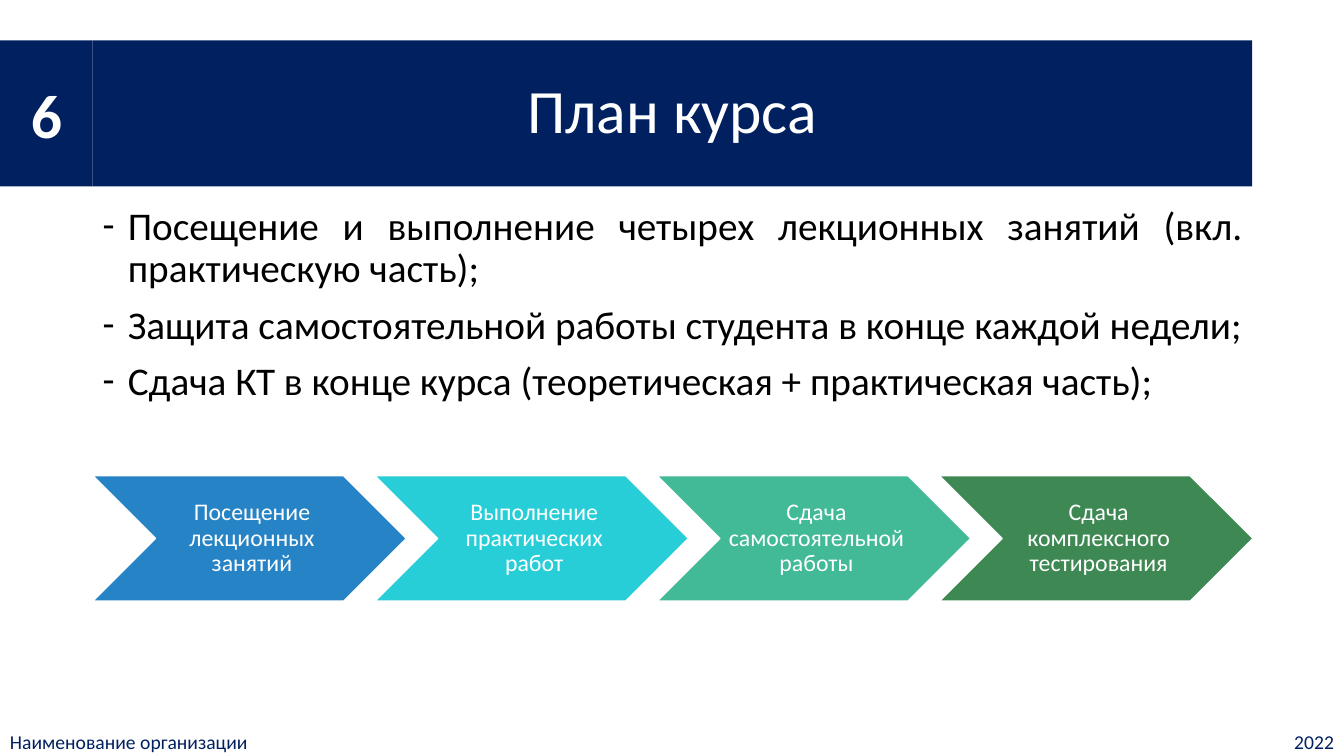
from lxml import etree
from pptx import Presentation
from pptx.dml.color import RGBColor
from pptx.enum import shapes, text
from pptx.oxml import ns
from pptx.util import Inches, Pt

NAVY = RGBColor(0x00, 0x20, 0x60)
WHITE = RGBColor(0xFF, 0xFF, 0xFF)
BLACK = RGBColor(0x00, 0x00, 0x00)
BLUE = RGBColor(0x26, 0x83, 0xC6)
CYAN = RGBColor(0x27, 0xCE, 0xD7)
TEAL = RGBColor(0x42, 0xBA, 0x97)
GREEN = RGBColor(0x3E, 0x88, 0x53)

FONT = "Calibri"
LEFT, CENTER = text.PP_ALIGN.LEFT, text.PP_ALIGN.CENTER
RIGHT, JUSTIFY = text.PP_ALIGN.RIGHT, text.PP_ALIGN.JUSTIFY
MIDDLE = text.MSO_ANCHOR.MIDDLE

# text, box, fill, size, colour, bold, alignment
BARS = [
    ("План курса", (0.92, 0.4, 11.5, 1.45), NAVY, 44, WHITE, False, CENTER),
    ("6", (0, 0.4, 0.92, 1.45), NAVY, 44, WHITE, True, CENTER),
    ("Наименование организации", (0, 7.21, 9.39, 0.29), WHITE, 14, NAVY, False, LEFT),
    ("2022", (9.39, 7.21, 3.94, 0.29), WHITE, 14, NAVY, False, RIGHT),
]
PLAN = [
    "Посещение и выполнение четырех лекционных занятий (вкл. практическую часть);",
    "Защита самостоятельной работы студента в конце каждой недели;",
    "Сдача КТ в конце курса (теоретическая + практическая часть);",
]
PLAN_BOX = (0.92, 2, 11.5, 4.76)
STEPS = [
    ("Посещение лекционных занятий", BLUE),
    ("Выполнение практических работ", CYAN),
    ("Сдача самостоятельной работы", TEAL),
    ("Сдача комплексного тестирования", GREEN),
]
STEP_LEFT, STEP_TOP, STEP_WIDTH = 0.92, 4.72, 3.11
STEP_HEIGHT = 0.4 * STEP_WIDTH
STEP_PITCH = 0.9 * STEP_WIDTH
STEP_INSET = 0.2 * STEP_WIDTH


def add_filled(s, kind, box, fill):
    sp = s.shapes.add_shape(kind, *map(Inches, box))
    sp.shadow.inherit = False
    sp.fill.solid()
    sp.fill.fore_color.rgb = fill
    sp.line.fill.background()
    return sp


def add_textbox(s, box):
    tf = s.shapes.add_textbox(*map(Inches, box)).text_frame
    tf.word_wrap = True
    return tf


def write(p, words, size, color, align, bold=False, spacing=0.9):
    p.alignment = align
    p.line_spacing = spacing
    r = p.add_run()
    r.text = words
    r.font.name = FONT
    r.font.size = Pt(size)
    r.font.bold = bold
    r.font.color.rgb = color


def add_dash(p):
    """Give the paragraph a hanging dash bullet."""
    pPr = p._p.get_or_add_pPr()
    pPr.set("marL", str(Inches(0.25)))
    pPr.set("indent", str(-Inches(0.25)))
    font = etree.SubElement(pPr, ns.qn("a:buFont"))
    font.set("typeface", FONT)
    bullet = etree.SubElement(pPr, ns.qn("a:buChar"))
    bullet.set("char", "-")


def add_bars(s):
    for words, box, fill, size, color, bold, align in BARS:
        tf = add_filled(s, shapes.MSO_SHAPE.RECTANGLE, box, fill).text_frame
        tf.word_wrap = True
        tf.vertical_anchor = MIDDLE
        spacing = 0.9 if words == "План курса" else 1.0
        write(tf.paragraphs[0], words, size, color, align, bold, spacing)


def add_plan(s):
    tf = add_textbox(s, PLAN_BOX)
    for i, item in enumerate(PLAN):
        p = tf.add_paragraph() if i else tf.paragraphs[0]
        write(p, item, 28, BLACK, JUSTIFY)
        p.space_before = Pt(10)
        add_dash(p)


def add_steps(s):
    for i, (words, fill) in enumerate(STEPS):
        left = STEP_LEFT + i * STEP_PITCH
        box = (left, STEP_TOP, STEP_WIDTH, STEP_HEIGHT)
        sp = add_filled(s, shapes.MSO_SHAPE.CHEVRON, box, fill)
        sp.line.color.rgb = WHITE
        sp.line.width = Pt(1)

        label_width = STEP_WIDTH - 2 * STEP_INSET
        tf = add_textbox(s, (left + STEP_INSET, STEP_TOP, label_width, STEP_HEIGHT))
        tf.vertical_anchor = MIDDLE
        tf.margin_left = Inches(0.07)
        tf.margin_top = tf.margin_right = tf.margin_bottom = Inches(0.02)
        write(tf.paragraphs[0], words, 17, WHITE, CENTER)


def main():
    prs = Presentation()
    prs.slide_width, prs.slide_height = Inches(13.33), Inches(7.5)
    s = prs.slides.add_slide(prs.slide_layouts[6])
    add_bars(s)
    add_plan(s)
    add_steps(s)
    prs.save("out.pptx")


if __name__ == "__main__":
    main()
